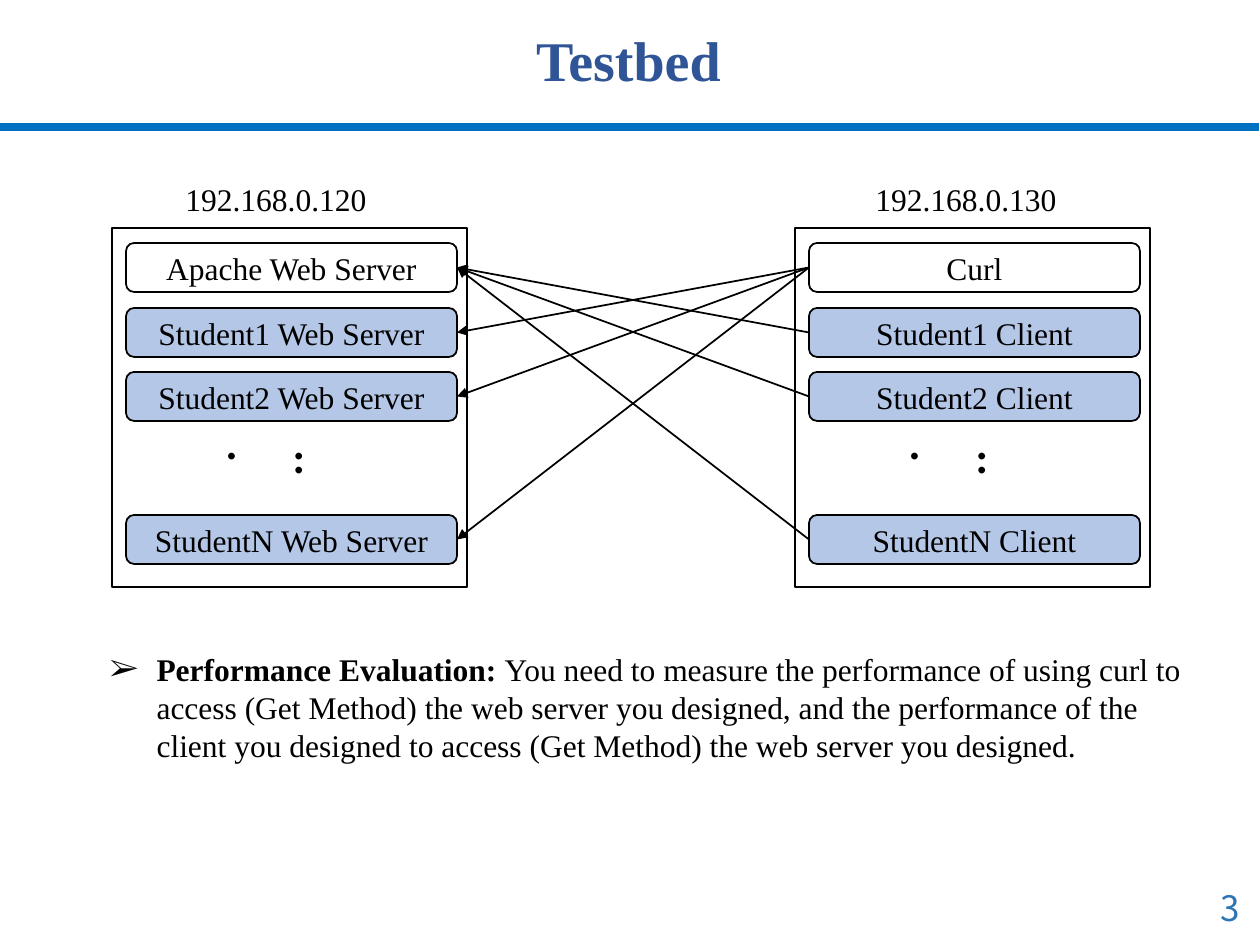
from pptx import Presentation
from pptx.dml.color import RGBColor
from pptx.enum.shapes import MSO_CONNECTOR as LINE, MSO_SHAPE as SHAPE
from pptx.enum.text import MSO_ANCHOR as ANCHOR, MSO_AUTO_SIZE as FIT, PP_ALIGN as ALIGN
from pptx.oxml.ns import qn
from pptx.util import Pt
from lxml.etree import SubElement

# Content: (address, address left, address width, panel left, box labels)
TITLE = "Testbed"
PAGE = "3"
HOSTS = [
    ("192.168.0.120", 173, 234, 112,
     ["Apache Web Server", "Student1 Web Server", "Student2 Web Server", "StudentN Web Server"]),
    ("192.168.0.130", 863, 218, 795,
     ["Curl", "Student1 Client", "Student2 Client", "StudentN Client"]),
]
TASK = [
    ("Performance Evaluation: ", True),
    ("You need to measure the performance of using curl to access (Get Method) the web server "
     "you designed, and the performance of the client you designed to access (Get Method) "
     "the web server you designed.", False),
]

THEME = {
    "ink": "000000", "paper": "FFFFFF", "student": "B4C7E7",
    "title": "2F5597", "rule": "0070C0", "page": "2E75B6",
    "serif": "Times New Roman", "dots": "Calibri", "number": "Noto Sans CJK SC",
    "title_pt": 32, "text_pt": 18, "dots_pt": 32, "page_pt": 20,
}
BOX_TOPS = [243, 308, 372, 515]
LEFT_SITE, RIGHT_SITE = 1, 3


def px(n):
    return round(n * 914400 / 126)


def color(key):
    return RGBColor.from_string(THEME[key])


def write(paragraph, text, size="text_pt", face="serif", ink="ink", bold=False):
    run = paragraph.add_run()
    run.text = text
    formats = {"name": THEME[face], "size": Pt(THEME[size]), "bold": bold}
    for attribute, value in formats.items():
        setattr(run.font, attribute, value)
    run.font.color.rgb = color(ink)


def place(part, left, top, width, height):
    part.left, part.top, part.width, part.height = map(px, (left, top, width, height))


def add_label(at, text, **style):
    label = slide.shapes.add_textbox(*map(px, at))
    write(label.text_frame.paragraphs[0], text, **style)
    label.text_frame.word_wrap = True
    return label.text_frame


def add_block(kind, at, fill):
    block = slide.shapes.add_shape(kind, *map(px, at))
    block.shadow.inherit = False
    block.fill.solid()
    block.fill.fore_color.rgb = color(fill)
    block.line.color.rgb = color("ink")
    block.line.width = Pt(1)
    return block


def add_line(start, end, ink, width):
    line = slide.shapes.add_connector(LINE.STRAIGHT, *map(px, start + end))
    line.line.color.rgb = color(ink)
    line.line.width = Pt(width)
    SubElement(line._element.spPr, qn("a:effectLst"))
    return line


def add_host(address, address_left, address_width, left, labels):
    """Draw one machine and return its boxes from top to bottom."""
    add_block(SHAPE.FLOWCHART_PROCESS, (left, 228, 355, 359), "paper")
    boxes = []
    for top, label in zip(BOX_TOPS, labels):
        fill = "student" if boxes else "paper"
        box = add_block(SHAPE.ROUNDED_RECTANGLE, (left + 14, top, 331, 49), fill)
        frame = box.text_frame
        frame.vertical_anchor = ANCHOR.MIDDLE
        frame.paragraphs[0].alignment = ALIGN.CENTER
        write(frame.paragraphs[0], label)
        boxes.append(box)
    dots = add_label((left + 153, 437, 93, 64), "...", size="dots_pt", face="dots")
    dots._txBody.bodyPr.set("vert", "eaVert")
    add_label((address_left, 174, address_width, 50), address)
    return boxes


def add_request(client, server):
    arrow = add_line((0, 0), (1, 1), "ink", 1)
    arrow.begin_connect(client, LEFT_SITE)
    arrow.end_connect(server, RIGHT_SITE)
    SubElement(arrow.line._get_or_add_ln(), qn("a:tailEnd"), type="triangle")


prs = Presentation()
prs.slide_width, prs.slide_height = px(1260), px(945)
slide = prs.slides.add_slide(prs.slide_layouts[1])

# Title and rule
title = slide.shapes.title
place(title, -1, 0, 1259, 100)
title.text_frame.vertical_anchor = ANCHOR.BOTTOM
heading = title.text_frame.paragraphs[0]
heading.alignment = ALIGN.CENTER
heading.line_spacing = 0.9
write(heading, TITLE, size="title_pt", ink="title", bold=True)
add_line((-1, 127), (1259, 127), "rule", 4.5)

# Machines, then requests between the shared box of one and the student boxes of the other
servers, clients = [add_host(*host) for host in HOSTS]
for client in clients[1:]:
    add_request(client, servers[0])
for server in servers[1:]:
    add_request(clients[0], server)

# Task
body = slide.placeholders[1]
place(body, 97, 644, 1111, 127)
body.text_frame.auto_size = FIT.NONE
task = body.text_frame.paragraphs[0]
properties = task._p.get_or_add_pPr()
properties.set("marL", str(px(47)))
properties.set("indent", str(px(-47)))
SubElement(properties, qn("a:buFont"), typeface=THEME["serif"])
SubElement(properties, qn("a:buChar"), char="➢")
task.space_before = Pt(0)
for text, bold in TASK:
    write(task, text, bold=bold)

# Page number
page = add_label((1208, 883, 49, 50), PAGE, size="page_pt", face="number", ink="page")
page.vertical_anchor = ANCHOR.MIDDLE

prs.save("out.pptx")
